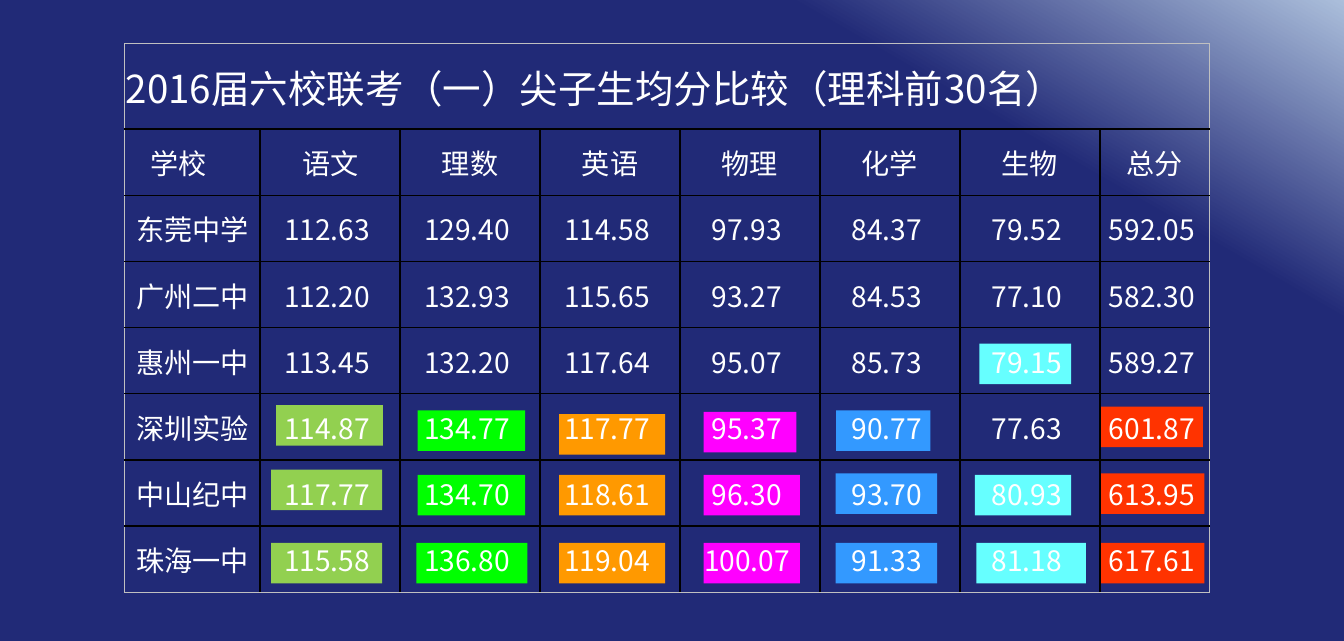
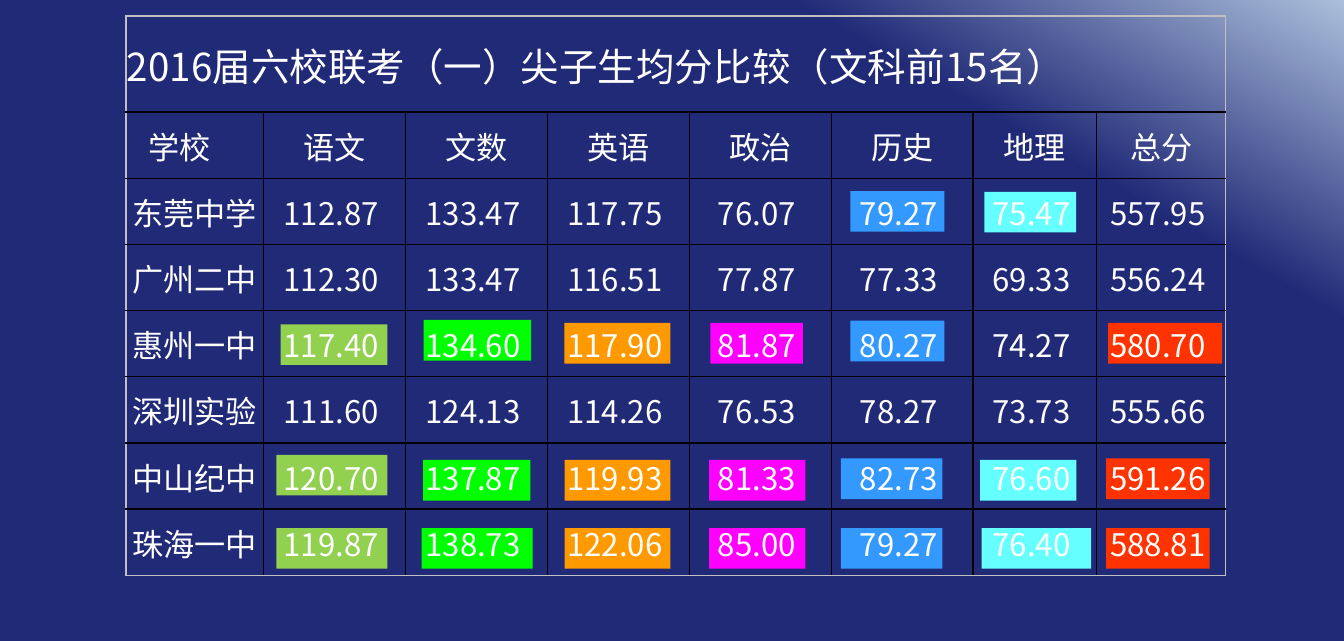
from lxml import etree
from pptx import Presentation
from pptx.dml.color import RGBColor
from pptx.enum.shapes import MSO_SHAPE
from pptx.enum.text import MSO_ANCHOR, PP_ALIGN
from pptx.oxml import parse_xml
from pptx.oxml.ns import qn
from pptx.util import Pt

RECT = MSO_SHAPE.RECTANGLE
MIDDLE = MSO_ANCHOR.MIDDLE
LEFT, CENTER = PP_ALIGN.LEFT, PP_ALIGN.CENTER
NS = "http://schemas.openxmlformats.org/drawingml/2006/main"
FONT = "Noto Sans CJK SC"
COLORS = {
    "text": "FFFFFF", "navy": "212A77", "glow": "B9CDE5", "edge": "002060",
    "grid": "000000", "frame": "C0C0C0",
    "green": "92D050", "lime": "00FF00", "orange": "FF9900",
    "pink": "FF00FF", "blue": "3399FF", "cyan": "66FFFF", "red": "FF3300",
}
TITLE_SIZE = 26
ROW_HIGH = 44.7
MARK_HIGH = 27.4

# Marks are (colour, left, top, width); both slides share the last two rows.
LOW_MARKS = [
    ("green", 183, 317, 75), ("lime", 282, 320.5, 72.5),
    ("orange", 377.5, 320.5, 71.5), ("pink", 475, 320.5, 65),
    ("blue", 564, 319.5, 68.5), ("cyan", 658, 320.5, 65),
    ("red", 743, 319.5, 70),
    ("green", 183, 366.5, 75), ("lime", 281, 366.5, 75),
    ("orange", 377.5, 366.5, 71.5), ("pink", 475, 366.5, 65),
    ("blue", 564, 366.5, 68.5), ("cyan", 659, 366.5, 74),
    ("red", 743, 366.5, 70),
]

SCIENCE = {
    "title": "2016届六校联考（一）尖子生均分比较（理科前30名）",
    "rows": [
        "学校 语文 理数 英语 物理 化学 生物 总分",
        "东莞中学 112.63 129.40 114.58 97.93 84.37 79.52 592.05",
        "广州二中 112.20 132.93 115.65 93.27 84.53 77.10 582.30",
        "惠州一中 113.45 132.20 117.64 95.07 85.73 79.15 589.27",
        "深圳实验 114.87 134.77 117.77 95.37 90.77 77.63 601.87",
        "中山纪中 117.77 134.70 118.61 96.30 93.70 80.93 613.95",
        "珠海一中 115.58 136.80 119.04 100.07 91.33 81.18 617.61",
    ],
    "place": (84.2, 29.5), "top_row": 57.6, "size": 19,
    "cols": [91.4] + [94.5] * 6 + [74.2],
    "shift": (0, 0),
    "marks": [
        ("cyan", 661, 232, 62), ("green", 186.5, 273.5, 72),
        ("lime", 282, 277, 72.5), ("orange", 377.5, 279.5, 71.5),
        ("pink", 475, 278, 62.5), ("blue", 564.5, 277, 63.5),
        ("red", 743, 274.5, 69),
    ],
}
ARTS = {
    "title": "2016届六校联考（一）尖子生均分比较（文科前15名）",
    "rows": [
        "学校 语文 文数 英语 政治 历史 地理 总分",
        "东莞中学 112.87 133.47 117.75 76.07 79.27 75.47 557.95",
        "广州二中 112.30 133.47 116.51 77.87 77.33 69.33 556.24",
        "惠州一中 117.40 134.60 117.90 81.87 80.27 74.27 580.70",
        "深圳实验 111.60 124.13 114.26 76.53 78.27 73.73 555.66",
        "中山纪中 120.70 137.87 119.93 81.33 82.73 76.60 591.26",
        "珠海一中 119.87 138.73 122.06 85.00 79.27 76.40 588.81",
    ],
    "place": (85, 10.8), "top_row": 64.8, "size": 21,
    "cols": [92.9] + [95.8] * 5 + [83.5, 87.1],
    "shift": (3.6, -10),
    "marks": [
        ("blue", 574, 129, 63.5), ("cyan", 664.5, 129.5, 62),
        ("green", 189.5, 219, 72), ("lime", 286, 216, 72.5),
        ("orange", 381, 218, 71.5), ("pink", 479.5, 218, 62.5),
        ("blue", 574, 216.5, 63.5), ("red", 748, 218, 77),
    ],
}


def rgb(name):
    return RGBColor.from_string(COLORS[name])


def add_box(slide, color, left, top, width, height):
    box = slide.shapes.add_shape(RECT, Pt(left), Pt(top), Pt(width), Pt(height))
    box.shadow.inherit = False
    box.fill.solid()
    box.fill.fore_color.rgb = rgb(color)
    box.line.fill.background()
    return box


def add_back(deck, slide):
    """Draw the gradient panel and move it to the master for all slides."""
    box = add_box(slide, "navy", -2.2, -15.8, 918.7, 459.4)
    box.line.color.rgb = rgb("edge")
    box.line.width = Pt(2)
    stops = "".join(
        f'<a:gs pos="{pos}000"><a:srgbClr val="{COLORS[name]}"/></a:gs>'
        for pos, name in ((0, "glow"), (24, "navy"), (100, "navy")))
    grad = parse_xml(
        f'<a:gradFill xmlns:a="{NS}" rotWithShape="1"><a:gsLst>{stops}</a:gsLst>'
        '<a:lin ang="7200000" scaled="0"/></a:gradFill>')
    props = box.element.spPr
    props.replace(props.find(qn("a:solidFill")), grad)
    deck.slide_master.shapes.element.insert(2, box.element)


def set_edges(cell, sides):
    props = cell._tc.get_or_add_tcPr()
    for index, (side, color) in enumerate(sides.items()):
        line = etree.Element(qn(f"a:ln{side}"), w=str(Pt(1)))
        fill = etree.SubElement(line, qn("a:solidFill"))
        etree.SubElement(fill, qn("a:srgbClr"), val=COLORS[color])
        props.insert(index, line)


def put_text(cell, text, size, align, inset=0.7):
    cell.margin_left = cell.margin_top = Pt(0.7)
    cell.margin_right, cell.margin_bottom = Pt(inset), 0
    cell.vertical_anchor = MIDDLE
    para = cell.text_frame.paragraphs[0]
    para.alignment = align
    run = para.add_run()
    run.text = text
    font = run.font
    font.size, font.name, font.bold = Pt(size), FONT, False
    font.color.rgb = rgb("text")
    props = run._r.get_or_add_rPr()
    etree.SubElement(props, qn("a:ea"), typeface=FONT)


def add_scores(slide, data):
    rows = [line.split() for line in data["rows"]]
    cols, size = data["cols"], data["size"]
    highs = [data["top_row"]] + [ROW_HIGH] * len(rows)
    left, top = data["place"]
    table = slide.shapes.add_table(
        len(highs), len(cols), Pt(left), Pt(top), Pt(sum(cols)), Pt(sum(highs))).table
    table.first_row = table.horz_banding = False
    for col, width in zip(table.columns, cols):
        col.width = Pt(width)
    for row, high in zip(table.rows, highs):
        row.height = Pt(high)

    last_row, last_col = len(highs) - 1, len(cols) - 1
    for r in range(len(highs)):
        for c in range(len(cols)):
            cell = table.cell(r, c)
            outer = {"L": c == 0, "R": c == last_col, "T": r == 0, "B": r == last_row}
            if r == 0:
                outer["L"] = outer["R"] = True
            set_edges(cell, {s: "frame" if out else "grid" for s, out in outer.items()})
            cell.fill.background()
            if r == 0:
                continue
            inset = 0.7
            if r == 1 and c == 0:
                inset += size
            elif r > 1 and c > 0:
                inset += size * 0.22
            put_text(cell, rows[r - 1][c], size, CENTER, inset)
    table.cell(0, 0).merge(table.cell(0, last_col))
    put_text(table.cell(0, 0), data["title"], TITLE_SIZE, LEFT)


def add_marks(slide, data):
    dx, dy = data["shift"]
    low = [(color, x + dx, y + dy, w) for color, x, y, w in LOW_MARKS]
    for mark in data["marks"] + low:
        add_box(slide, *mark, MARK_HIGH)


def main():
    deck = Presentation()
    deck.slide_width, deck.slide_height = Pt(907.2), Pt(432.7)
    blank = deck.slide_layouts[6]
    for index, data in enumerate((SCIENCE, ARTS)):
        slide = deck.slides.add_slide(blank)
        if index == 0:
            add_back(deck, slide)
        add_marks(slide, data)
        add_scores(slide, data)
    deck.save("out.pptx")


if __name__ == "__main__":
    main()
